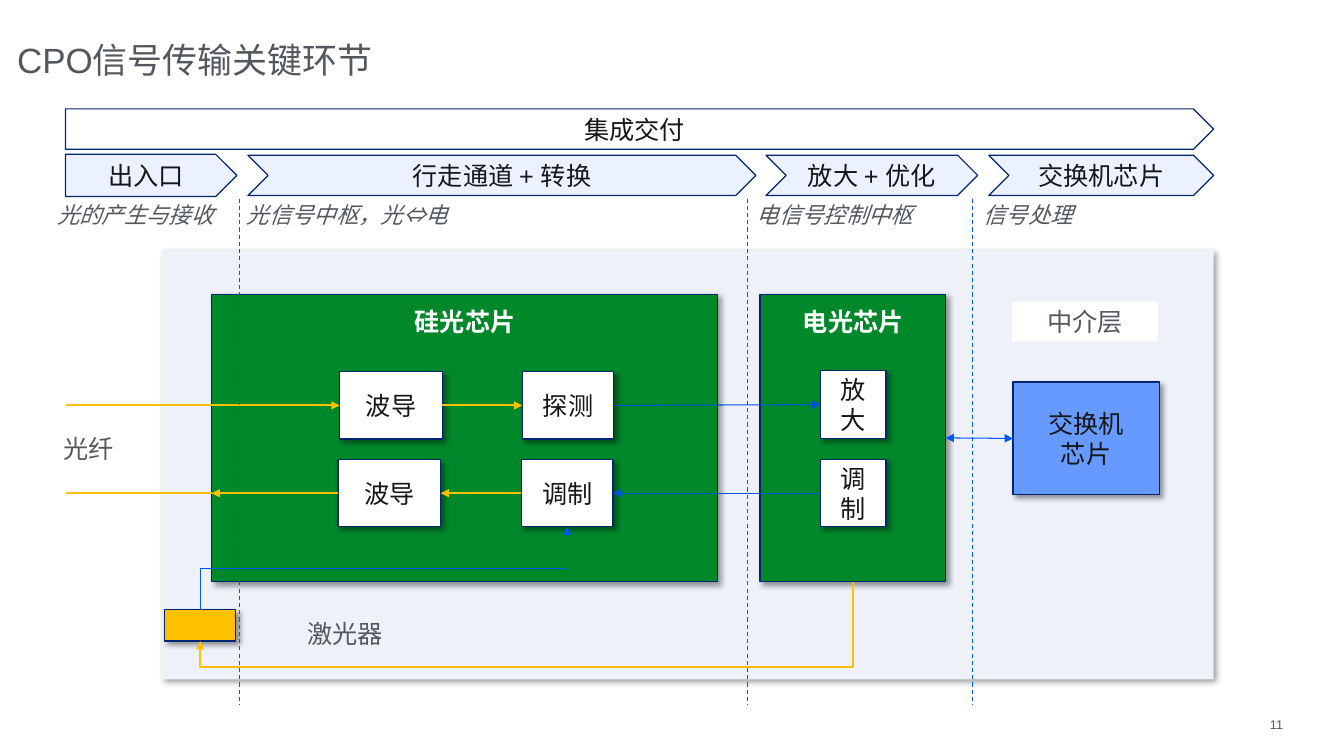
from lxml import etree
from pptx import Presentation
from pptx.dml.color import RGBColor
from pptx.enum import dml, lang, shapes, text
from pptx.oxml import ns
from pptx.util import Pt

WHITE = RGBColor(0xFF, 0xFF, 0xFF)
GREY = RGBColor(0x53, 0x58, 0x5F)
INK = RGBColor(0x15, 0x16, 0x18)
NAVY = RGBColor(0x01, 0x26, 0x70)
PALE_BLUE = RGBColor(0xEB, 0xF1, 0xFF)
PANEL = RGBColor(0xEE, 0xF1, 0xF8)
GREEN = RGBColor(0x00, 0x88, 0x2B)
AMBER = RGBColor(0xFF, 0xC0, 0x00)
SKY = RGBColor(0x67, 0x9A, 0xFF)
SIGNAL = RGBColor(0x00, 0x52, 0xD9)
BLUE = RGBColor(0x02, 0x56, 0xFF)

LEFT, CENTER, RIGHT = text.PP_ALIGN.LEFT, text.PP_ALIGN.CENTER, text.PP_ALIGN.RIGHT
TOP, MIDDLE, BOTTOM = text.MSO_ANCHOR.TOP, text.MSO_ANCHOR.MIDDLE, text.MSO_ANCHOR.BOTTOM
RECT, PLATE, CHEVRON = (shapes.MSO_SHAPE.RECTANGLE, shapes.MSO_SHAPE.PENTAGON,
                        shapes.MSO_SHAPE.CHEVRON)
IN_ROW, OUT_ROW = 289.6, 352.3


def child(parent, tag, **attributes):
    """Append a DrawingML element to a parent."""
    return etree.SubElement(parent, ns.qn(f"a:{tag}"), attributes)


def write(frame, words, size, color, align, anchor, bold=None, italic=None, font="Arial"):
    """Fill a text frame with evenly styled paragraphs."""
    frame.word_wrap = True
    frame.vertical_anchor = anchor
    frame.text = words
    for paragraph in frame.paragraphs:
        paragraph.alignment = align
        style = paragraph.font
        style.name, style.size, style.bold, style.italic = font, Pt(size), bold, italic
        style.color.rgb = color
        style.language_id = lang.MSO_LANGUAGE_ID.SIMPLIFIED_CHINESE


def label(slide, box, words, size=18, color=GREY, align=LEFT, anchor=TOP, inset=True, **style):
    """Add a text box."""
    frame = slide.shapes.add_textbox(*map(Pt, box)).text_frame
    if not inset:
        frame.margin_left = frame.margin_right = frame.margin_top = frame.margin_bottom = 0
    write(frame, words, size, color, align, anchor, **style)


def block(slide, box, fill, words="", kind=RECT, outline=NAVY, shadow=True, color=INK):
    """Add a filled shape with an optional outline, shadow and caption."""
    shape = slide.shapes.add_shape(kind, *map(Pt, box))
    shape.fill.solid()
    shape.fill.fore_color.rgb = fill
    if outline is None:
        shape.line.fill.background()
    else:
        shape.line.color.rgb = outline
        shape.line.width = Pt(0.85)
    shape.shadow.inherit = False
    if shadow:
        effects = shape._element.spPr.find(ns.qn("a:effectLst"))
        outer = child(effects, "outerShdw", blurRad=str(Pt(4)), dist=str(Pt(3)),
                      dir="2700000", algn="tl", rotWithShape="0")
        child(child(outer, "srgbClr", val="000000"), "alpha", val="40000")
    if words:
        write(shape.text_frame, words, 18, color, CENTER, MIDDLE)
    return shape


def finish(connector, color, width, head=False, tail=False, dashed=False):
    """Style a connector and drop its theme shadow."""
    connector.line.color.rgb = color
    connector.line.width = Pt(width)
    if dashed:
        connector.line.dash_style = dml.MSO_LINE.DASH
    line = connector.line._get_or_add_ln()
    for wanted, tag in ((head, "headEnd"), (tail, "tailEnd")):
        if wanted:
            child(line, tag, type="triangle")
    child(connector._element.spPr, "effectLst")


def wire(slide, start, end, color, width, begin=None, finish_at=None, **ends):
    """Draw a straight line, joined to the facing sides of any given blocks."""
    connector = slide.shapes.add_connector(
        shapes.MSO_CONNECTOR.STRAIGHT, *map(Pt, (*start, *end)))
    rightward = end[0] > start[0]
    if begin is not None:
        connector.begin_connect(begin, 3 if rightward else 1)
    if finish_at is not None:
        connector.end_connect(finish_at, 1 if rightward else 3)
    finish(connector, color, width, **ends)


def elbow(slide, start, end, color, width, bend):
    """Draw an arrow that leaves and arrives vertically, turning at the bend ratio."""
    (x1, y1), (x2, y2) = start, end
    run, rise = abs(x2 - x1), abs(y2 - y1)
    left, top = (x1 + x2 - rise) / 2, (y1 + y2 - run) / 2
    connector = slide.shapes.add_connector(
        shapes.MSO_CONNECTOR.ELBOW, *map(Pt, (left, top, left + rise, top + run)))
    properties = connector._element.spPr
    frame = properties.find(ns.qn("a:xfrm"))
    frame.set("rot", "5400000")
    if y2 < y1:
        frame.set("flipH", "1")
        frame.set("flipV", "1")
    geometry = properties.find(ns.qn("a:prstGeom"))
    guides = geometry.find(ns.qn("a:avLst"))
    if guides is None:
        guides = child(geometry, "avLst")
    child(guides, "gd", name="adj1", fmla=f"val {round(bend * 100000)}")
    finish(connector, color, width, tail=True)


def add_stages(slide):
    """Add the delivery banner, the stage arrows and their notes."""
    for kind, fill, words, box in (
        (CHEVRON, PALE_BLUE, "放大 + 优化", (547.2, 110.9, 151.2, 28.8)),
        (CHEVRON, PALE_BLUE, "交换机芯片", (706.3, 110.9, 160.6, 28.8)),
        (PLATE, PALE_BLUE, "出入口", (46.8, 110.2, 122.4, 30.2)),
        (CHEVRON, PALE_BLUE, "行走通道 + 转换", (177.1, 110.9, 362.9, 28.8)),
        (PLATE, WHITE, "集成交付", (46.8, 77.8, 820.1, 28.8)),
    ):
        block(slide, box, fill, words, kind, shadow=False)
    for left, width, words, font in (
        (33.8, 181.4, "光的产生与接收", "Noto Sans CJK SC"),
        (169.2, 190.8, "光信号中枢，光⇔电", "Noto Sans CJK SC"),
        (533.5, 158.4, "电信号控制中枢", "Noto Sans CJK SC"),
        (695.5, 158.4, "信号处理", "Arial"),
    ):
        label(slide, (left, 140.4, width, 26.6), words, 16, italic=True, font=font)


def add_package(slide):
    """Add the interposer panel with its chips and signal paths."""
    block(slide, (115.9, 178.6, 751, 306.7), PANEL, outline=None)
    for left, width, middle, words in ((151.2, 361.4, 332.3, "硅光芯片"),
                                       (542.9, 132.5, 609.5, "电光芯片")):
        chip = block(slide, (left, 210.2, width, 205.2), GREEN)
        label(slide, (middle - 50, 215.3, 100, 28.8), words, color=WHITE,
              align=CENTER, bold=True)
    block(slide, (117.4, 435.6, 51.1, 22.3), AMBER)
    label(slide, (212.4, 437.8, 158.4, 28.8), "激光器")
    label(slide, (38.2, 306, 158.4, 28.8), "光纤")
    block(slide, (722.9, 215.3, 104.4, 28.8), WHITE, "中介层", outline=None,
          shadow=False, color=GREY)
    switch = block(slide, (723.6, 272.9, 104.4, 80.6), SKY, "交换机\n芯片")
    guide_in, detector, guide_out, modulator, amplifier, driver = (
        block(slide, (left, top, width, 48.2), WHITE, words)
        for left, top, width, words in (
            (242.6, 265.5, 73.4, "波导"), (373, 265.5, 65.5, "探测"),
            (241.4, 328.2, 73.4, "波导"), (372.4, 328.2, 65.5, "调制"),
            (586.1, 264.9, 46.8, "放大"), (586.1, 328.2, 46.8, "调制")))

    wire(slide, (47.5, IN_ROW), (151.9, IN_ROW), AMBER, 1.5)
    wire(slide, (46.8, OUT_ROW), (151.2, OUT_ROW), AMBER, 1.5)
    for start, end, y, color, width, begin, target in (
        (151.9, 242.6, IN_ROW, AMBER, 1.5, None, guide_in),
        (241.4, 151.2, OUT_ROW, AMBER, 1.5, guide_out, None),
        (372.4, 314.8, OUT_ROW, AMBER, 1.5, modulator, guide_out),
        (316, 373, IN_ROW, AMBER, 1.5, guide_in, detector),
        (438.5, 586.1, IN_ROW, SIGNAL, 0.75, detector, amplifier),
        (586.1, 437.9, OUT_ROW, SIGNAL, 0.75, driver, modulator),
    ):
        wire(slide, (start, y), (end, y), color, width, begin, target, tail=True)
    wire(slide, (675.4, 313), (723.6, 313), BLUE, 0.75, chip, switch, head=True, tail=True)
    elbow(slide, (609.1, 415.4), (143, 457.9), AMBER, 1.5, 1.43)
    elbow(slide, (143, 435.6), (405.2, 376.4), BLUE, 0.75, 0.5)


def main():
    """Build and save the slide."""
    deck = Presentation()
    deck.slide_width, deck.slide_height = Pt(960), Pt(540)
    slide = deck.slides.add_slide(deck.slide_layouts[6])
    label(slide, (890.6, 511.9, 25.9, 10.8), "11", 9, align=RIGHT, anchor=BOTTOM, inset=False)
    label(slide, (12.2, 13.7, 761.8, 57.6), "CPO信号传输关键环节", 25, anchor=MIDDLE, inset=False)
    add_package(slide)
    add_stages(slide)
    for x in (170.9, 534.2, 694.8):
        wire(slide, (x, 141.8), (x, 503.3), BLUE, 0.75, dashed=True)
    deck.save("out.pptx")


if __name__ == "__main__":
    main()
